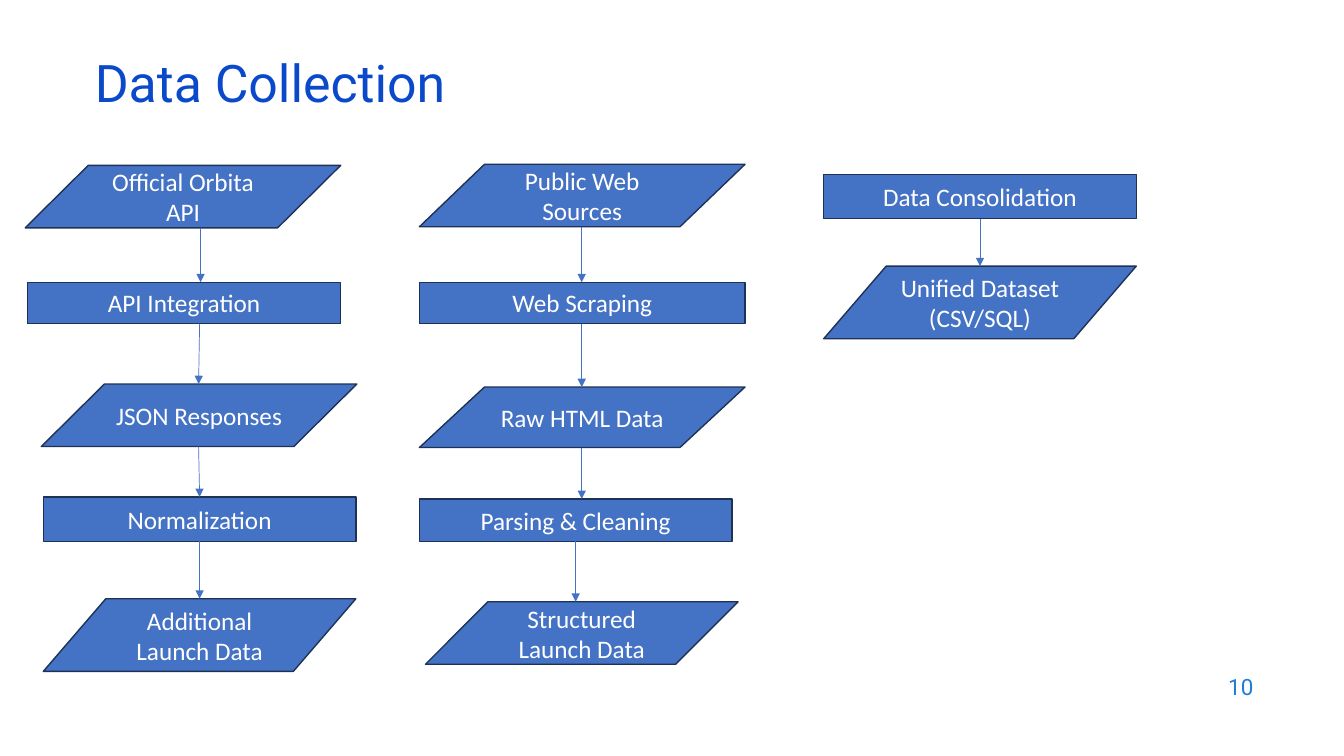
from dataclasses import dataclass
from typing import Optional

from lxml.etree import SubElement
from pptx import Presentation
from pptx.dml.color import RGBColor
from pptx.enum.shapes import MSO_CONNECTOR, MSO_SHAPE
from pptx.enum.text import MSO_ANCHOR, MSO_AUTO_SIZE, PP_ALIGN
from pptx.oxml.ns import qn
from pptx.util import Inches, Pt


@dataclass(frozen=True)
class Theme:
    heading_font: str = "Roboto"
    body_font: str = "Calibri"
    title: str = "0B49CB"
    number: str = "1C7DDB"
    fill: str = "4472C4"
    outline: str = "1E3256"
    label: str = "FFFFFF"
    title_size: int = 37
    label_size: int = 18
    number_size: int = 16


@dataclass(frozen=True)
class Step:
    text: str
    kind: MSO_SHAPE
    left: float
    top: float
    width: float
    height: float
    arrow: Optional[tuple[float, float]] = None  # x at start and end of the arrow down

    @property
    def bottom(self) -> float:
        return self.top + self.height


THEME = Theme()
DATA, PROCESS = MSO_SHAPE.FLOWCHART_DATA, MSO_SHAPE.RECTANGLE

COLUMNS = [
    [
        Step("Official Orbita API", DATA, 0.25, 1.64, 3.13, 0.62, (1.99, 1.99)),
        Step("API Integration", PROCESS, 0.27, 2.8, 3.11, 0.41, (1.98, 1.97)),
        Step("JSON Responses", DATA, 0.41, 3.81, 3.13, 0.62, (1.97, 1.98)),
        Step("Normalization", PROCESS, 0.43, 4.93, 3.1, 0.44, (1.98, 1.98)),
        Step("Additional Launch Data", DATA, 0.43, 5.94, 3.1, 0.72),
    ],
    [
        Step("Public Web Sources", DATA, 4.16, 1.63, 3.23, 0.62, (5.77, 5.77)),
        Step("Web Scraping", PROCESS, 4.16, 2.8, 3.23, 0.41, (5.77, 5.77)),
        Step("Raw HTML Data", DATA, 4.16, 3.84, 3.23, 0.6, (5.77, 5.77)),
        Step("Parsing & Cleaning", PROCESS, 4.16, 4.95, 3.1, 0.42, (5.71, 5.71)),
        Step("Structured Launch Data", DATA, 4.22, 5.97, 3.1, 0.62),
    ],
    [
        Step("Data Consolidation", PROCESS, 8.17, 1.73, 3.1, 0.44, (9.72, 9.72)),
        Step("Unified Dataset (CSV/SQL)", DATA, 8.17, 2.64, 3.1, 0.72),
    ],
]


def rgb(color: str) -> RGBColor:
    return RGBColor.from_string(color)


def write(s, text: str, *, font: str, size: int, color: str,
          align=PP_ALIGN.LEFT, spacing: float = 1.0) -> None:
    tf = s.text_frame
    tf.word_wrap = True
    tf.auto_size = MSO_AUTO_SIZE.NONE
    tf.vertical_anchor = MSO_ANCHOR.MIDDLE
    p = tf.paragraphs[0]
    p.alignment = align
    p.line_spacing = spacing
    r = p.add_run()
    r.text = text
    r.font.name = font
    r.font.size = Pt(size)
    r.font.color.rgb = rgb(color)


def add_step(slide, step: Step) -> None:
    s = slide.shapes.add_shape(step.kind, Inches(step.left), Inches(step.top),
                               Inches(step.width), Inches(step.height))
    s.shadow.inherit = False
    s.fill.solid()
    s.fill.fore_color.rgb = rgb(THEME.fill)
    s.line.color.rgb = rgb(THEME.outline)
    s.line.width = Pt(1)
    write(s, step.text, font=THEME.body_font, size=THEME.label_size,
          color=THEME.label, align=PP_ALIGN.CENTER)


def add_arrow(slide, start: Step, end: Step) -> None:
    x1, x2 = start.arrow
    line = slide.shapes.add_connector(MSO_CONNECTOR.STRAIGHT, Inches(x1), Inches(start.bottom),
                                      Inches(x2), Inches(end.top))
    line.line.color.rgb = rgb(THEME.fill)
    line.line.width = Pt(0.5)
    SubElement(line.line._get_or_add_ln(), qn("a:tailEnd"), type="triangle")
    SubElement(line._element.spPr, qn("a:effectLst"))


def main() -> None:
    prs = Presentation()
    prs.slide_width, prs.slide_height = Inches(13.33), Inches(7.5)
    slide = prs.slides.add_slide(prs.slide_layouts[5])

    # Title
    title = slide.shapes.title
    title.left, title.top = Inches(0.84), Inches(0.59)
    title.width, title.height = Inches(11.5), Inches(0.6)
    write(title, "Data Collection", font=THEME.heading_font, size=THEME.title_size,
          color=THEME.title, spacing=0.7)

    # Flow columns
    for steps in COLUMNS:
        for step in steps:
            add_step(slide, step)
        for start, end in zip(steps, steps[1:]):
            add_arrow(slide, start, end)

    # Slide number
    number = slide.shapes.add_textbox(Inches(9.53), Inches(6.59), Inches(3), Inches(0.44))
    write(number, "10", font=THEME.heading_font, size=THEME.number_size,
          color=THEME.number, align=PP_ALIGN.RIGHT)

    prs.save("out.pptx")


if __name__ == "__main__":
    main()
